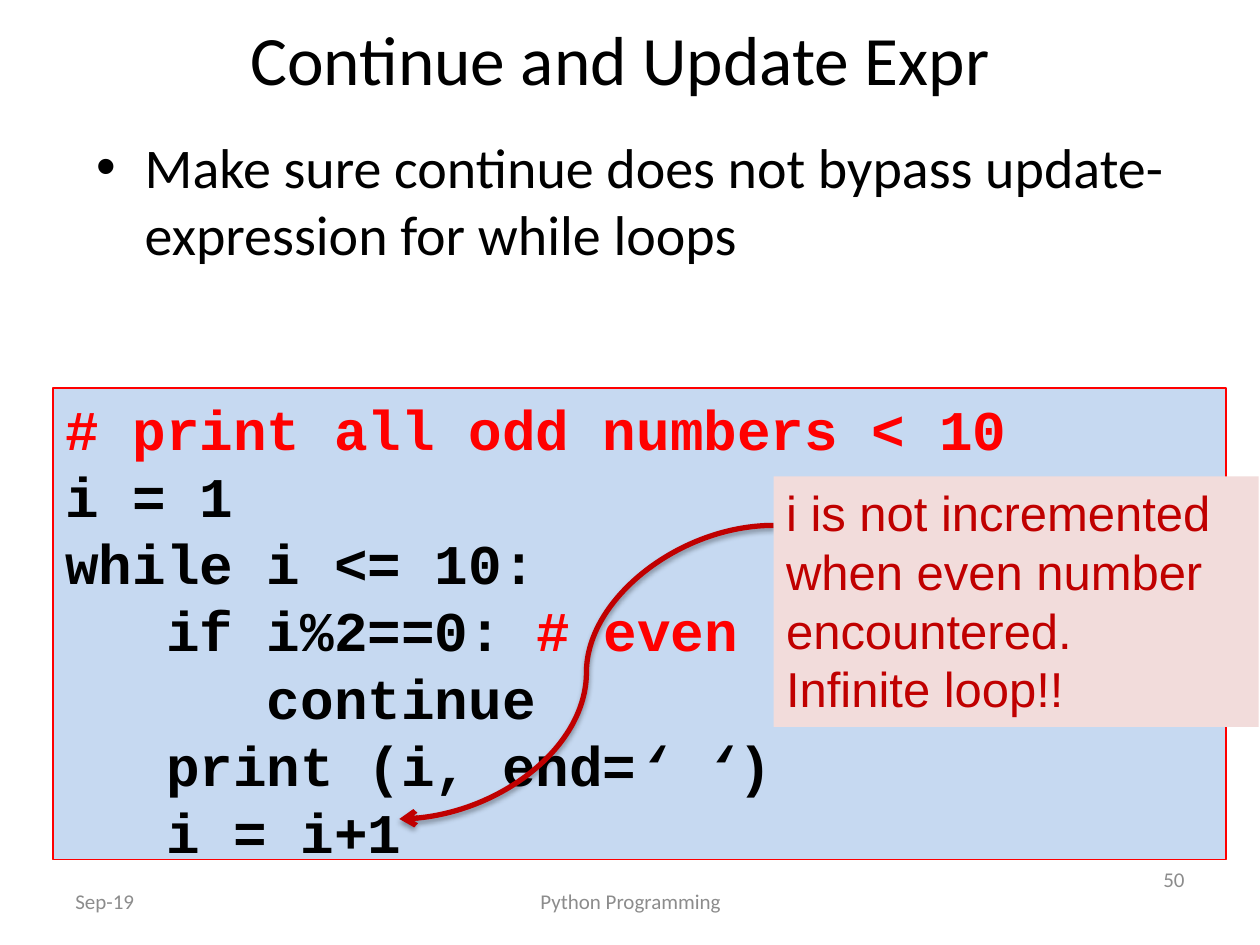
from dataclasses import dataclass
from typing import Any, Optional

from lxml import etree
from pptx import Presentation
from pptx import util as u
from pptx.dml import color
from pptx.enum import shapes, text
from pptx.oxml import ns

COLORS = {
    "black": "000000",
    "comment": "FF0000",
    "code_fill": "C6D9F1",
    "callout": "C00000",
    "callout_fill": "F2DCDB",
    "footer": "8C8C8C",
}


@dataclass(frozen=True)
class Run:
    words: str
    color: str = "black"
    italic: bool = False


@dataclass(frozen=True)
class TextBlock:
    box: tuple[float, float, float, float]
    lines: list[list[Run]]
    size: float
    font: str = "Calibri"
    bold: bool = False
    align: Any = text.PP_ALIGN.LEFT
    anchor: Any = text.MSO_ANCHOR.TOP
    wrap: bool = True
    fill: Optional[str] = None
    outline: Optional[str] = None
    bullet: bool = False


def rgb(name: str) -> color.RGBColor:
    return color.RGBColor.from_string(COLORS[name])


def set_attributes(target: Any, values: dict[str, Any]) -> None:
    for name, value in values.items():
        setattr(target, name, value)


def add_bullet(paragraph: Any) -> None:
    properties = paragraph._p.get_or_add_pPr()
    set_attributes(properties, {})
    properties.set("marL", str(u.Inches(0.38)))
    properties.set("indent", str(u.Inches(-0.38)))
    etree.SubElement(properties, ns.qn("a:buFont")).set("typeface", "Arial")
    etree.SubElement(properties, ns.qn("a:buChar")).set("char", "•")


def draw_block(slide: Any, block: TextBlock) -> None:
    box = [u.Inches(length) for length in block.box]
    if block.fill:
        shape = slide.shapes.add_shape(shapes.MSO_SHAPE.RECTANGLE, *box)
        shape.shadow.inherit = False
        shape.fill.solid()
        shape.fill.fore_color.rgb = rgb(block.fill)
        if block.outline:
            shape.line.color.rgb = rgb(block.outline)
            shape.line.width = u.Pt(0.75)
        else:
            shape.line.fill.background()
    else:
        shape = slide.shapes.add_textbox(*box)
    frame = shape.text_frame
    set_attributes(frame, {"word_wrap": block.wrap, "vertical_anchor": block.anchor})
    for index, line in enumerate(block.lines):
        paragraph = frame.add_paragraph() if index else frame.paragraphs[0]
        paragraph.alignment = block.align
        if block.bullet:
            add_bullet(paragraph)
        for part in line:
            run = paragraph.add_run()
            run.text = part.words
            set_attributes(run.font, {
                "name": block.font,
                "size": u.Pt(block.size),
                "bold": block.bold,
                "italic": part.italic,
            })
            run.font.color.rgb = rgb(part.color)


def draw_curved_arrow(slide: Any, start: tuple[float, float], end: tuple[float, float]) -> None:
    points = [u.Inches(length) for length in (*start, *end)]
    connector = slide.shapes.add_connector(shapes.MSO_CONNECTOR.CURVE, *points)
    connector.line.color.rgb = rgb("callout")
    connector.line.width = u.Pt(3)
    etree.SubElement(connector.line._get_or_add_ln(), ns.qn("a:tailEnd")).set("type", "arrow")
    effects = etree.SubElement(connector._element.spPr, ns.qn("a:effectLst"))
    shadow = etree.SubElement(effects, ns.qn("a:outerShdw"), {
        "blurRad": str(u.Pt(3.1)),
        "dist": str(u.Pt(1.8)),
        "dir": "5400000",
        "rotWithShape": "0",
    })
    shade = etree.SubElement(shadow, ns.qn("a:srgbClr"), val=COLORS["black"])
    etree.SubElement(shade, ns.qn("a:alpha"), val="35000")


def footer(box: tuple[float, float, float, float], words: str, align: Any) -> TextBlock:
    return TextBlock(box, [[Run(words, "footer")]], 12, align=align,
                     anchor=text.MSO_ANCHOR.MIDDLE)


CODE = TextBlock(
    (0.42, 3.08, 9.31, 3.74),
    [
        [Run("# print all odd numbers < 10", "comment")],
        [Run("i = 1")],
        [Run("while i <= 10:")],
        [Run("   if i%2==0: "), Run("# even", "comment")],
        [Run("      continue")],
        [Run("   print (i, end="), Run("‘ ‘", italic=True), Run(")")],
        [Run("   i = i+1")],
    ],
    32, "Courier New", bold=True, fill="code_fill", outline="comment",
)
TITLE = TextBlock(
    (0.67, 0.08, 8.5, 0.75), [[Run("Continue and Update Expr")]], 39.6,
    align=text.PP_ALIGN.CENTER, anchor=text.MSO_ANCHOR.MIDDLE,
)
BODY = TextBlock(
    (0.67, 1, 8.75, 1.91),
    [[Run("Make sure continue does not bypass update-expression for while loops")]],
    32, bullet=True,
)
FOOTERS = [
    footer((0.5, 6.95, 2.33, 0.4), "Sep-19", text.PP_ALIGN.LEFT),
    footer((3.42, 6.95, 3.17, 0.4), "Python Programming", text.PP_ALIGN.CENTER),
    footer((7.17, 6.78, 2.33, 0.4), "50", text.PP_ALIGN.RIGHT),
]
CALLOUT_LINES = ["i is not incremented", "when even number", "encountered.", "Infinite loop!!"]
CALLOUT = TextBlock(
    (6.14, 3.78, 3.85, 1.99), [[Run(line, "callout")] for line in CALLOUT_LINES],
    28, "Arial", wrap=False, fill="callout_fill",
)


def main() -> None:
    presentation = Presentation()
    set_attributes(presentation, {"slide_width": u.Inches(10), "slide_height": u.Inches(7.5)})
    slide = presentation.slides.add_slide(presentation.slide_layouts[6])
    for block in [CODE, TITLE, BODY, *FOOTERS]:
        draw_block(slide, block)
    draw_curved_arrow(slide, (6.14, 4.17), (3.17, 6.5))
    draw_block(slide, CALLOUT)
    presentation.save("out.pptx")


if __name__ == "__main__":
    main()
